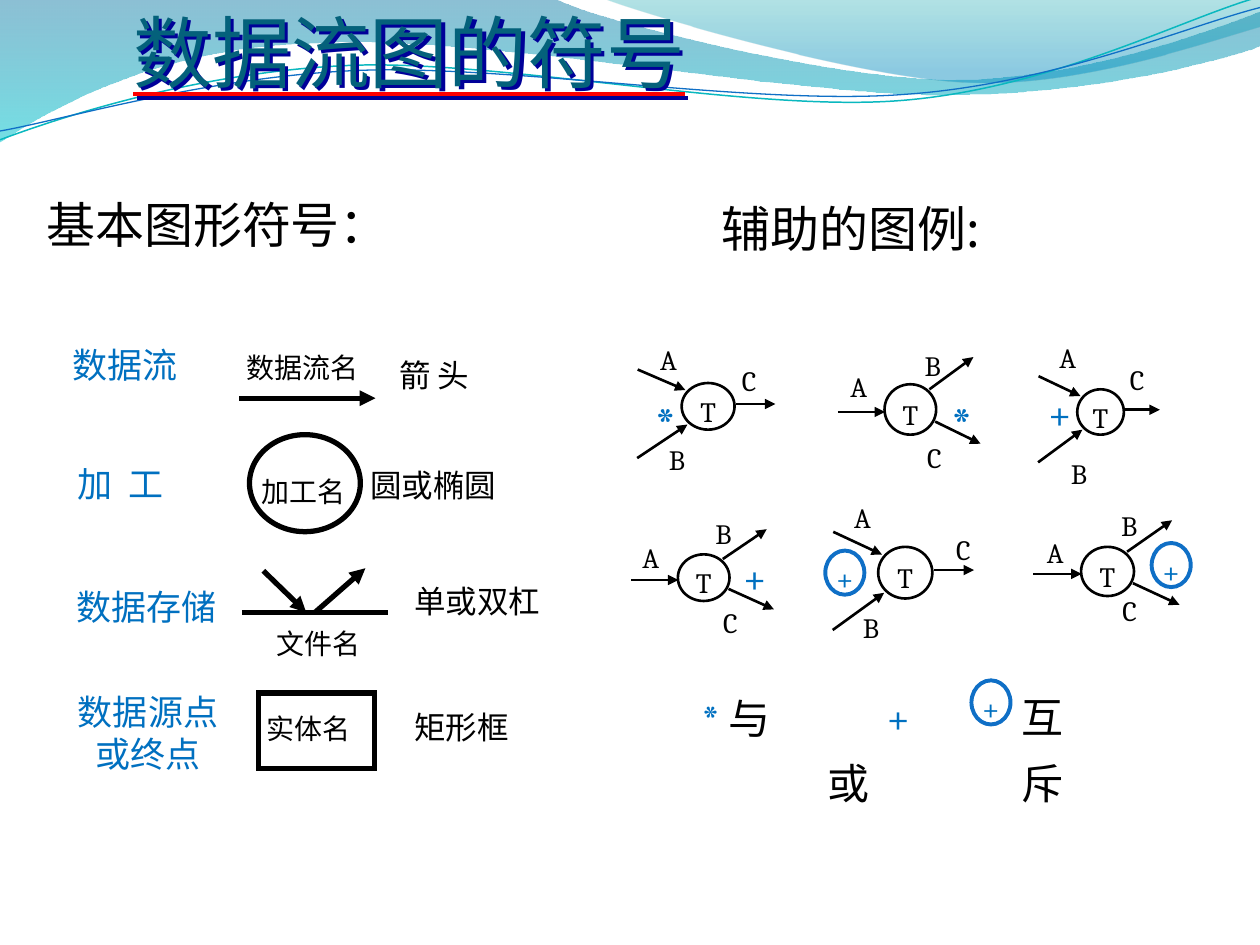
from lxml.etree import SubElement
from pptx import Presentation
from pptx.dml.color import RGBColor
from pptx.enum.shapes import MSO_CONNECTOR as Connector, MSO_SHAPE as Shape
from pptx.enum.text import MSO_ANCHOR as Anchor, PP_ALIGN as Align
from pptx.oxml.ns import qn
from pptx.util import Cm, Pt

BLACK, BLUE, RING = "000000", "0070C0", "0F6FC6"
SANS, SERIF = "Noto Sans CJK SC", "Cambria"
MERGE = [((-.83, -.29), (.07, .15)), ((-.84, 1.61), (.11, .89)), ((1.03, .45), (1.77, .45))]
SPLIT = [((-.9, .55), (.01, .55)), ((.87, .1), (1.72, -.54)), ((.98, .74), (1.86, 1.18))]


def unit(value):
    """Convert a grid unit, a tenth of the page width, to a length."""
    return Cm(value * 2.54)


def color(value):
    """Turn a hex string into a colour."""
    return RGBColor.from_string(value)


def add_xml(parent, tag, **attributes):
    """Append a DrawingML element."""
    return SubElement(parent, qn(f"a:{tag}"), attributes)


def write(frame, lines, size, ink=BLACK, font=SERIF, align=Align.LEFT, spacing=1.3):
    """Fill a text frame with evenly styled paragraphs."""
    for index, line in enumerate(lines):
        para = frame.add_paragraph() if index else frame.paragraphs[0]
        para.text, para.alignment, para.line_spacing = line, align, spacing
        para.font.size, para.font.name = Pt(size), font
        para.font.color.rgb = color(ink)
        add_xml(para._p.get_or_add_pPr().get_or_add_defRPr(), "ea", typeface=SANS)


def add_text(page, box, lines, size, ink=BLACK, wrap=True, **style):
    """Place a text box and return it."""
    label = page.shapes.add_textbox(*map(unit, box))
    label.text_frame.word_wrap = wrap
    write(label.text_frame, lines, size, ink, **style)
    return label


def add_outline(page, kind, box, width, line=BLACK):
    """Place an unfilled shape with sharp corners and return it."""
    shape = page.shapes.add_shape(kind, *map(unit, box))
    shape.shadow.inherit = False
    shape.fill.background()
    shape.line.width, shape.line.color.rgb = Pt(width), color(line)
    add_xml(shape.line._get_or_add_ln(), "miter", lim="800000")
    return shape


def add_circle(page, box, text, size, ink=BLACK, line=BLACK, width=1.5):
    """Place a circle with a centred letter or sign."""
    frame = add_outline(page, Shape.OVAL, box, width, line).text_frame
    frame.word_wrap, frame.vertical_anchor = False, Anchor.MIDDLE
    write(frame, [text], size, ink, align=Align.CENTER)


def add_ring(page, left, top):
    """Place the exclusive-or sign."""
    add_circle(page, (left, top, .31, .35), "+", 18, BLUE, RING, 2.25)


def add_line(page, start, end, width, arrow=True):
    """Draw a straight line, with an arrowhead unless told otherwise."""
    line = page.shapes.add_connector(Connector.STRAIGHT, *map(unit, (*start, *end)))
    line.line.width, line.line.color.rgb = Pt(width), color(BLACK)
    if arrow:
        add_xml(line.line._get_or_add_ln(), "tailEnd", type="triangle")
    add_xml(line._element.spPr, "effectLst")


def add_curve(page, start, segments, close):
    """Build a freeform of straight (2 numbers) and cubic (6 numbers) segments."""
    builder = page.shapes.build_freeform(*map(unit, start), scale=1.0)
    for segment in segments:
        lengths = list(map(unit, segment))
        builder.add_line_segments(list(zip(lengths[::2], lengths[1::2])), close=False)
    if close:
        builder.add_line_segments([], close=True)
    shape = builder.convert_to_shape()
    shape.shadow.inherit = False
    steps = iter(list(shape._element.spPr.iter(qn("a:lnTo"))))
    for segment in segments:
        group = [next(steps) for _ in range(len(segment) // 2)]
        if len(group) == 3:
            cubic = add_xml(group[0].getparent(), "cubicBezTo")
            group[0].addprevious(cubic)
            for step in group:
                cubic.append(step[0])
                step.getparent().remove(step)
    return shape


def add_waves(page):
    """Draw the banner of translucent bands and thin lines."""
    bands = [
        ((0, 0), [(4.4, -.01), (4.76, .17, 6.64, .63, 7.58, .63),
                  (8.53, .63, 9.58, .26, 10, .09), (10.01, .36),
                  (9.83, .44, 8.7, .76, 7.46, .75), (6.22, .75, 3.82, .28, 2.57, .34),
                  (1.29, .36, .46, .83, -.01, 1.13), (0, 0)],
         [(0, "0074A1", 45), (1, "00C6CF", 55)]),
        ((4.79, -.01), [(5.09, .11, 6.82, .62, 7.69, .65),
                        (8.56, .69, 9.61, .32, 10, .21), (10, 0), (4.79, -.01)],
         [(0, "00A1A9", 30), (.8, "008BBF", 45)]),
    ]
    for start, segments, stops in bands:
        band = add_curve(page, start, segments, True)
        band.line.fill.background()
        band.fill.gradient()
        band.fill.gradient_angle = 270
        for stop, (position, ink, _) in zip(band.fill.gradient_stops, stops):
            stop.position, stop.color.rgb = position, color(ink)
        inks = band._element.spPr.iter(qn("a:srgbClr"))
        for ink, (_, _, opacity) in zip(inks, stops):
            add_xml(ink, "alpha", val=str(opacity * 1000))
    lines = [
        ((0, 1.11), [(.48, .93, 1.58, .57, 2.77, .52), (3.95, .47, 5.93, .89, 7.13, .8),
                     (8.33, .71, 9.38, .15, 9.98, -.02)], "0AB8BF", .85),
        ((0, 1.04), [(.47, .96, 1.64, .61, 2.83, .56), (4.03, .51, 5.97, .84, 7.17, .75),
                     (8.36, .67, 9.41, .21, 10, .06)], RING, .75),
    ]
    for start, segments, ink, width in lines:
        line = add_curve(page, start, segments, False)
        line.fill.background()
        line.line.width, line.line.color.rgb = Pt(width), color(ink)


def add_title(page, box):
    """Write the title with a red underline and a blue shadow."""
    title = add_text(page, box, ["数据流图的符号"], 45, "04617B", font="Calibri", spacing=1)
    frame = title.text_frame
    frame.vertical_anchor = Anchor.BOTTOM
    frame.margin_left = frame.margin_right = frame.margin_bottom = 0
    para = frame.paragraphs[0]
    para.font.underline = True
    style = para._p.pPr.find(qn("a:defRPr"))
    underline = add_xml(style, "uFill")
    add_xml(add_xml(underline, "solidFill"), "srgbClr", val="FF0000")
    style.find(qn("a:latin")).addprevious(underline)
    shadow = add_xml(add_xml(title._element.spPr, "effectLst"), "outerShdw",
                     dist="35921", dir="2700000", algn="ctr", rotWithShape="0")
    add_xml(shadow, "srgbClr", val="000099")


def add_basic_symbols(page, left, top):
    """Draw the four basic symbols with their names and descriptions."""
    def place(x, y, *size):
        return (left + x, top + y, *size)

    for x, y, width, height, lines, align in (
            (.21, .03, 1.75, .43, ["数据流"], Align.JUSTIFY),
            (.25, .97, 1.58, .43, ["加  工"], Align.JUSTIFY),
            (.24, 1.95, 1.54, .43, ["数据存储"], Align.JUSTIFY),
            (0, 2.78, 1.81, .77, ["数据源点", "或终点"], Align.CENTER)):
        add_text(page, place(x, y, width, height), lines, 20, BLUE,
                 font=SANS, align=align, spacing=1)
    for x, y, name in ((1.59, 0, "数据流名"), (1.71, .99, "加工名"),
                       (1.83, 2.19, "文件名"), (1.75, 2.87, "实体名")):
        add_text(page, place(x, y, .22 * len(name) + .21, .45), [name], 16, wrap=False)
    for x, y, width, note in ((2.8, .04, .96, "箭 头"), (2.57, .91, 1.67, "圆或椭圆"),
                              (2.92, 1.83, 1.33, "单或双杠"), (2.92, 2.83, 1.08, "矩形框")):
        add_text(page, place(x, y, width, .49), [note], 18)
    add_outline(page, Shape.OVAL, place(1.71, .8, .88, .77), 3)
    add_outline(page, Shape.RECTANGLE, place(1.78, 2.85, .92, .6), 3)
    for start, end, arrow in (((1.63, .51), (2.71, .51), True),
                              ((1.65, 2.21), (2.81, 2.21), False),
                              ((1.82, 1.88), (2.16, 2.21), True),
                              ((2.23, 2.21), (2.63, 1.86), True)):
        add_line(page, place(*start), place(*end), 3, arrow)


def add_process(page, box, flows, labels, sign, sign_at):
    """Draw process T with its flows A, B and C and the sign that relates them."""
    left, top, width, height = box
    add_circle(page, box, "T", 16)
    for flow in flows:
        add_line(page, *[(left + x * width, top + y * height) for x, y in flow], 1.5)
    for name, (x, y) in zip("ABC", labels):
        add_text(page, (left + x, top + y, .4, .45), [name], 16)
    x, y = left + sign_at[0], top + sign_at[1]
    if sign == "ring":
        add_ring(page, x, y)
    else:
        size, tall = (28, .66) if sign == "*" else (24, .58)
        add_text(page, (x, y, .36, tall), [sign], size, BLUE)


def add_legend(page, left, top):
    """Explain the signs for and, or, exclusive or."""
    for x, y, width, sign, word, spacing in ((0, .07, .75, "* ", "与", 1.15),
                                             (1, 0, .85, " + ", "或", 1.3),
                                             (2.54, 0, .85, "", "互斥", 1.3)):
        label = add_text(page, (left + x, top + y, width, 1.14), [sign], 24,
                         align=Align.JUSTIFY, spacing=spacing)
        para = label.text_frame.paragraphs[0]
        for span in para.runs:
            span.font.color.rgb = color(BLUE)
        para.add_run().text = word
    add_ring(page, left + 2.24, top + .08)


def main():
    """Build the slide and save it."""
    deck = Presentation()
    deck.slide_width, deck.slide_height = unit(10), unit(7.5)
    page = deck.slides.add_slide(deck.slide_layouts[6])
    add_waves(page)
    add_title(page, (1.06, .28, 6.46, .5))
    add_text(page, (.27, 1.47, 4.56, .59), ["基本图形符号："], 28, font=SANS,
             align=Align.JUSTIFY, spacing=1.05)
    add_text(page, (5.63, 1.39, 4.02, .71), ["辅助的图例:"], 28, font=SANS,
             align=Align.JUSTIFY)
    add_basic_symbols(page, .27, 2.65)
    for process in (
            ((5.41, 3.04, .42, .37), MERGE, [(-.27, -.45), (-.2, .34), (.38, -.28)],
             "*", (-.31, -.11)),
            ((7.02, 3.05, .41, .4), SPLIT, [(-.37, -.25), (.22, -.41), (.24, .32)],
             "*", (.43, -.12)),
            ((8.55, 3.09, .37, .36), MERGE, [(-.24, -.52), (-.15, .4), (.32, -.34)],
             "+", (-.33, -.18)),
            ((5.38, 4.4, .41, .37), SPLIT, [(-.38, -.24), (.2, -.43), (.26, .28)],
             "+", (.42, -.19)),
            ((6.97, 4.34, .43, .41), MERGE, [(-.29, -.5), (-.22, .38), (.52, -.24)],
             "ring", (-.42, .03)),
            ((8.58, 4.34, .42, .39), SPLIT, [(-.37, -.22), (.22, -.43), (.23, .24)],
             "ring", (.56, -.03))):
        add_process(page, *process)
    add_legend(page, 5.47, 5.32)
    deck.save("out.pptx")


if __name__ == "__main__":
    main()
